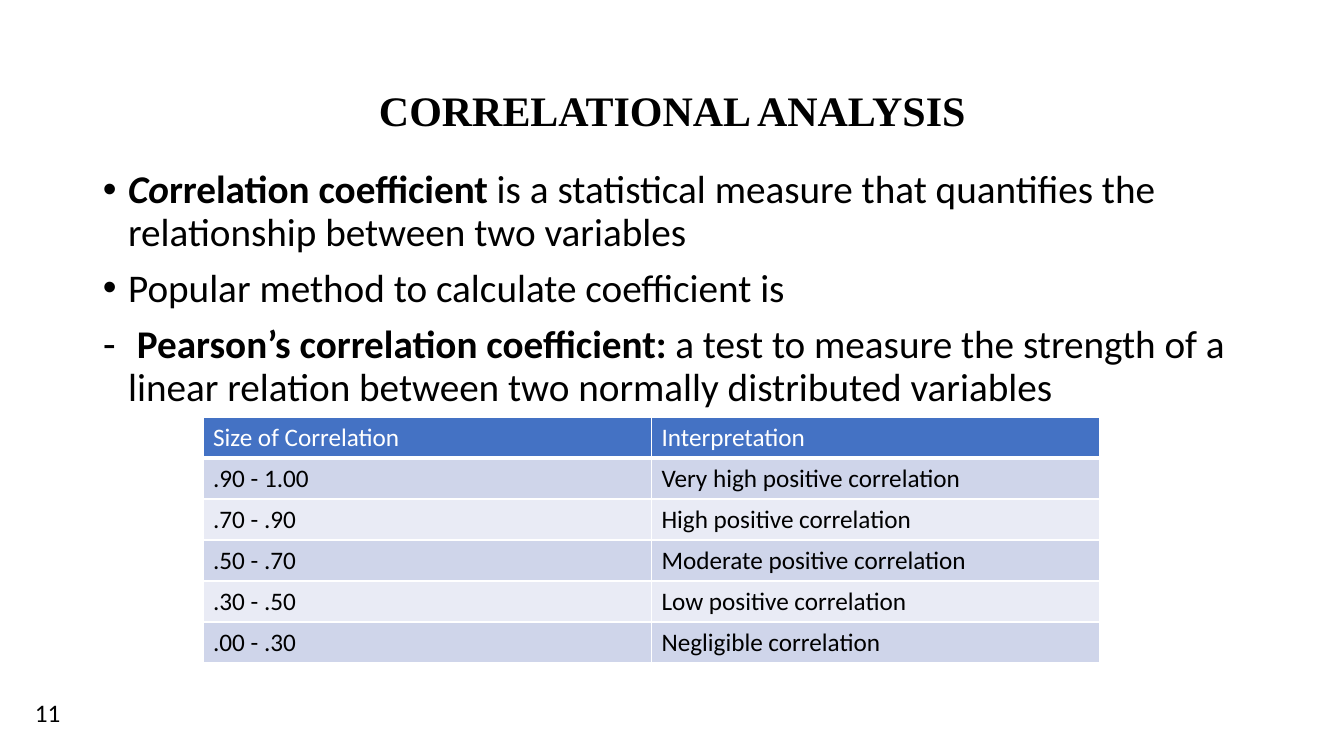
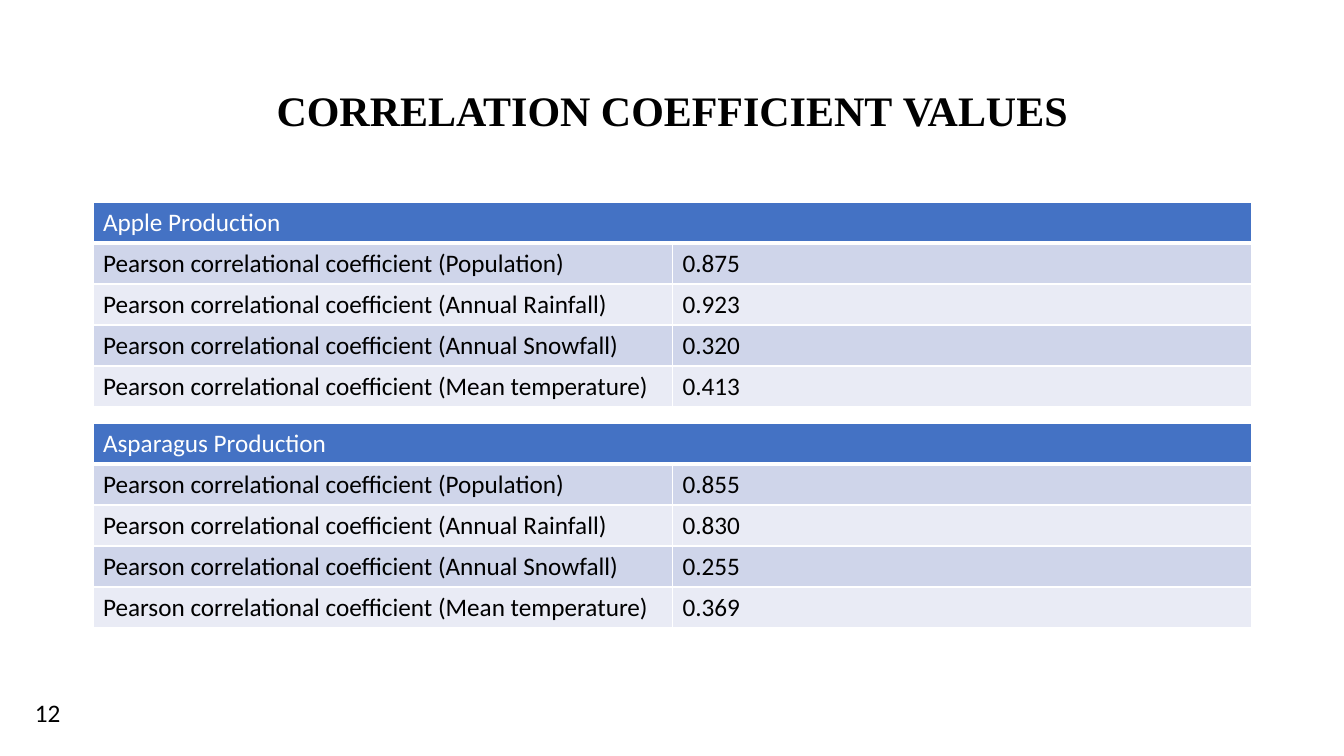
from lxml import etree
from pptx import Presentation
from pptx.dml.color import RGBColor
from pptx.enum.text import MSO_ANCHOR, PP_ALIGN
from pptx.oxml.ns import qn
from pptx.util import Pt

CENTER = PP_ALIGN.CENTER
MIDDLE = MSO_ANCHOR.MIDDLE
PIXEL = 914400 / 100.8
COLORS = {"text": "000000", "white": "FFFFFF", "header": "4472C4",
          "odd_row": "CFD5EA", "even_row": "E9EBF5"}
TITLE_FORMAT = {"name": "Times New Roman", "size": Pt(30), "bold": True}
BODY_FORMAT = {"name": "Calibri", "size": Pt(28), "bold": False}
SMALL_FORMAT = {"name": "Calibri", "size": Pt(18), "bold": False}
BORDERS = ("a:lnL", "a:lnR", "a:lnT", "a:lnB")
TITLE_BOX = (93, 40, 1159, 146)
BODY_BOX = (93, 165, 1159, 497)
NUMBER_BOX = (25, 692, 68, 40)
ROW_HEIGHT = 41
FACTORS = ("Population", "Annual Rainfall", "Annual Snowfall", "Mean temperature")


def add_run(paragraph, text, formats, color="text"):
    """Add a run of text with the given font values."""
    run = paragraph.add_run()
    run.text = text
    for name, value in formats.items():
        setattr(run.font, name, value)
    run.font.color.rgb = RGBColor.from_string(COLORS[color])


def add_banded_table(slide, left, top, width, rows):
    """Add a two-column table; a header of one text spans both columns."""
    left, top, width, height = [
        round(value * PIXEL) for value in (left, top, width, ROW_HEIGHT * len(rows))]
    table = slide.shapes.add_table(len(rows), 2, left, top, width, height).table
    for row_index, texts in enumerate(rows):
        is_header = row_index == 0
        fill = "header" if is_header else "odd_row" if row_index % 2 else "even_row"
        for column_index in range(2):
            cell = table.cell(row_index, column_index)
            properties = cell._tc.get_or_add_tcPr()
            for tag in BORDERS:
                weight = Pt(3 if is_header and tag == "a:lnB" else 1)
                line = etree.SubElement(properties, qn(tag), w=str(weight))
                solid = etree.SubElement(line, qn("a:solidFill"))
                etree.SubElement(solid, qn("a:srgbClr"), val=COLORS["white"])
            cell.fill.solid()
            cell.fill.fore_color.rgb = RGBColor.from_string(COLORS[fill])
        if len(texts) == 1:
            table.cell(row_index, 0).merge(table.cell(row_index, 1))
        for column_index, text in enumerate(texts):
            paragraph = table.cell(row_index, column_index).text_frame.paragraphs[0]
            add_run(paragraph, text, SMALL_FORMAT, "white" if is_header else "text")


presentation = Presentation()
presentation.slide_width = round(1344 * PIXEL)
presentation.slide_height = round(756 * PIXEL)
title_only = presentation.slide_layouts[5]

# Title and slide number on both slides
slides = []
for number, title in ((11, "CORRELATIONAL ANALYSIS"),
                      (12, "CORRELATION COEFFICIENT\u00a0VALUES")):
    slide = presentation.slides.add_slide(title_only)
    slides.append(slide)
    shape = slide.shapes.title
    shape.left, shape.top, shape.width, shape.height = [
        round(value * PIXEL) for value in TITLE_BOX]
    shape.text_frame.vertical_anchor = MIDDLE
    paragraph = shape.text_frame.paragraphs[0]
    paragraph.alignment = CENTER
    paragraph.line_spacing = 0.9
    add_run(paragraph, title, TITLE_FORMAT)

    number_box = slide.shapes.add_textbox(*[round(value * PIXEL) for value in NUMBER_BOX])
    number_box.text_frame.word_wrap = True
    add_run(number_box.text_frame.paragraphs[0], str(number), SMALL_FORMAT)

analysis_slide, values_slide = slides

# Correlational analysis
bold = {"bold": True}
body_paragraphs = [
    ("•", [("Co", {"bold": True, "italic": True}),
           ("rrelation coefficient", bold),
           ("\u00a0is a statistical measure that quantifies the relationship "
            "between two variables", {})]),
    ("•", [("Popular method to calculate coefficient is", {})]),
    ("-", [("\u00a0", {}),
           ("Pearson’s correlation coefficient: ", bold),
           ("a test to measure the strength of a linear relation between two "
            "normally distributed variables", {})]),
]
body = analysis_slide.shapes.add_textbox(*[round(value * PIXEL) for value in BODY_BOX])
body.text_frame.word_wrap = True
for index, (bullet, runs) in enumerate(body_paragraphs):
    paragraph = body.text_frame.add_paragraph() if index else body.text_frame.paragraphs[0]
    paragraph.line_spacing = 0.9
    paragraph.space_before = Pt(10)
    properties = paragraph._p.get_or_add_pPr()
    properties.set("marL", str(Pt(18)))
    properties.set("indent", str(-Pt(18)))
    etree.SubElement(properties, qn("a:buFont"), typeface="Arial")
    etree.SubElement(properties, qn("a:buChar"), char=bullet)
    for text, changes in runs:
        add_run(paragraph, text, {**BODY_FORMAT, **changes})

add_banded_table(analysis_slide, 203, 417, 897, [
    ("Size of Correlation", "Interpretation"),
    (".90 - 1.00", "Very high positive correlation"),
    (".70 - .90", "High positive correlation"),
    (".50 - .70", "Moderate positive correlation"),
    (".30 - .50", "Low positive correlation"),
    (".00 - .30", "Negligible correlation"),
])

# Correlation coefficient values
for top, crop, values in (
        (202, "Apple", ("0.875", "0.923", "0.320", "0.413")),
        (423, "Asparagus", ("0.855", "0.830", "0.255", "0.369"))):
    rows = [(f"{crop} Production",)]
    for factor, value in zip(FACTORS, values):
        rows.append((f"Pearson correlational coefficient ({factor})", value))
    add_banded_table(values_slide, 93, top, 1159, rows)

presentation.save("out.pptx")
